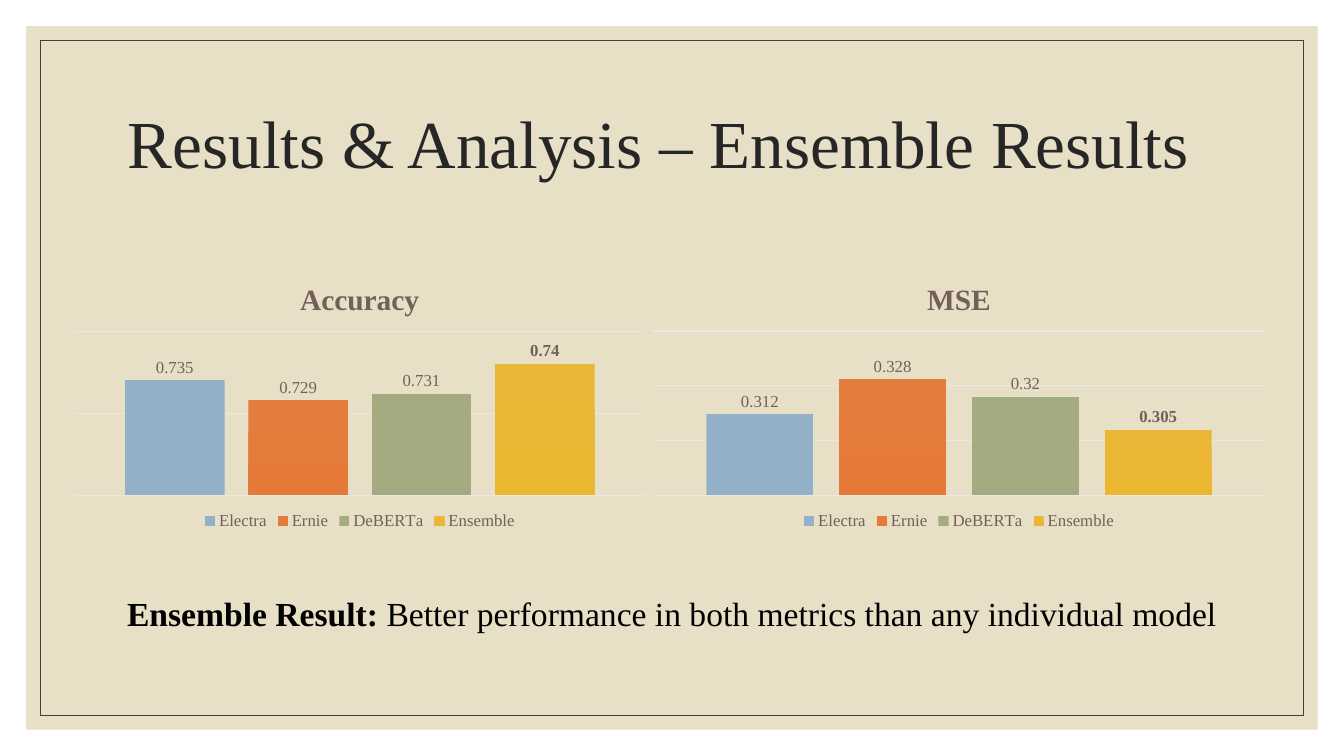
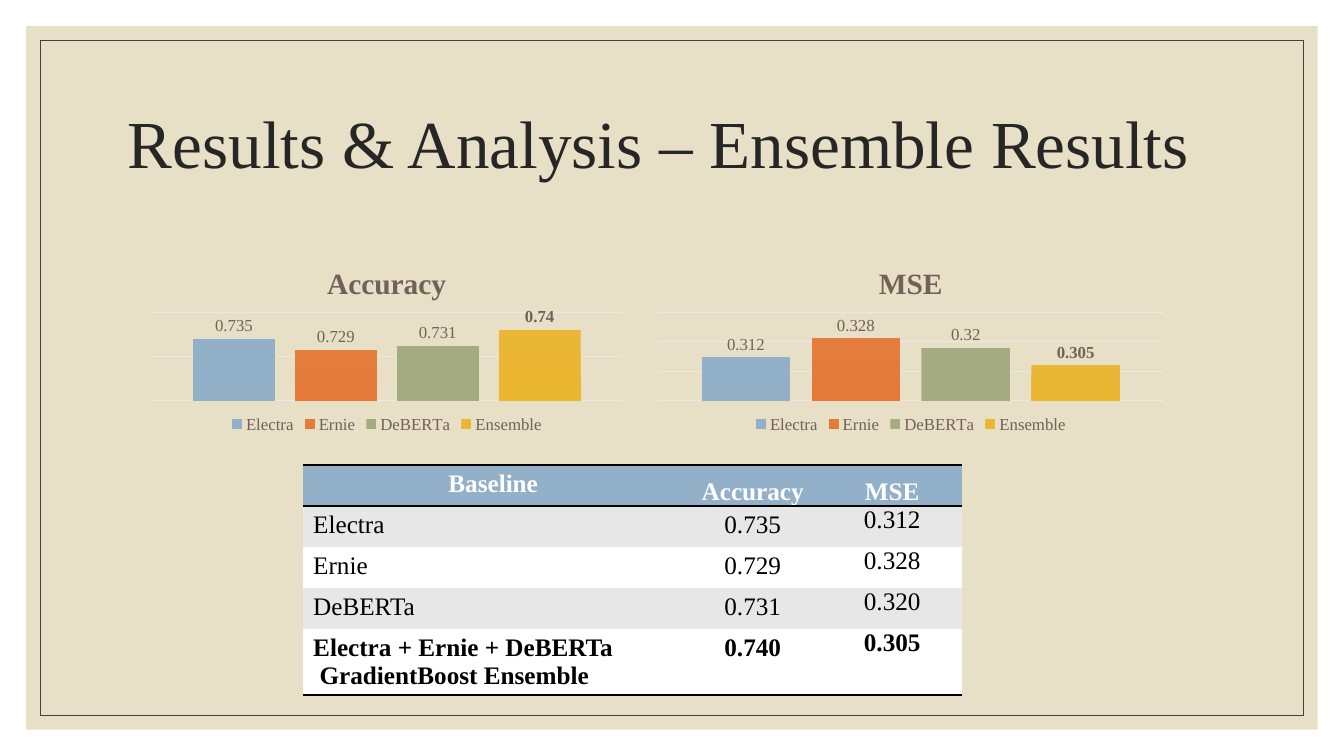
from dataclasses import dataclass

from lxml.etree import SubElement
from pptx import Presentation
from pptx.chart.data import CategoryChartData
from pptx.dml.color import RGBColor
from pptx.enum.chart import XL_CHART_TYPE as ChartType
from pptx.enum.chart import XL_LABEL_POSITION as LabelPosition
from pptx.enum.chart import XL_LEGEND_POSITION as LegendPosition
from pptx.enum.shapes import MSO_SHAPE as Preset
from pptx.enum.text import MSO_ANCHOR as Anchor
from pptx.enum.text import PP_ALIGN as Align
from pptx.oxml.ns import qn
from pptx.util import Cm, Pt

FONT = "Times New Roman"
SAND = RGBColor(0xE7, 0xE0, 0xC7)
FRAME_GRAY = RGBColor(0x40, 0x40, 0x40)
TITLE_GRAY = RGBColor(0x26, 0x26, 0x26)
LABEL_BROWN = RGBColor(0x73, 0x60, 0x59)
GRID_GRAY = RGBColor(0xEB, 0xE7, 0xE5)
BAND_GRAY = RGBColor(0xE7, 0xE7, 0xE7)
BLUE = RGBColor(0x92, 0xB0, 0xC8)
WHITE = RGBColor(0xFF, 0xFF, 0xFF)
BLACK = RGBColor(0, 0, 0)

SERIES_GRADIENTS = {
    "Electra": (BLUE, RGBColor(0x8F, 0xAF, 0xC8)),
    "Ernie": (RGBColor(0xE3, 0x7C, 0x3D), RGBColor(0xE5, 0x7A, 0x38)),
    "DeBERTa": (RGBColor(0xA5, 0xAB, 0x81), RGBColor(0xA4, 0xAB, 0x7F)),
    "Ensemble": (RGBColor(0xE9, 0xB6, 0x35), RGBColor(0xEB, 0xB6, 0x30)),
}
TITLE = "Results & Analysis – Ensemble Results"
NO_STYLE = "{2D5ABB26-0587-4C30-8999-92F81FD0307C}"


@dataclass
class Metric:
    name: str
    values: tuple
    minimum: float
    maximum: float
    title_width: float


ACCURACY = Metric("Accuracy", (0.735, 0.729, 0.731, 0.74), 0.7, 0.75, 3.28)
MSE = Metric("MSE", (0.312, 0.328, 0.32, 0.305), 0.275, 0.35, 1.88)


def format_font(font, size, color, bold=False):
    font.name = FONT
    font.size = Pt(size)
    font.bold = bold
    font.color.rgb = color


def write_text(paragraph, text, size=18, color=BLACK, bold=False, align=None):
    run = paragraph.add_run()
    run.text = text
    format_font(run.font, size, color, bold)
    if align is not None:
        paragraph.alignment = align


def add_frame(slide):
    for index, margin in enumerate((0.66, 1.03)):
        panel = slide.shapes.add_shape(
            Preset.RECTANGLE, Cm(margin), Cm(margin),
            Cm(33.87 - 2 * margin), Cm(19.05 - 2 * margin))
        panel.shadow.inherit = False
        if index == 0:
            panel.fill.solid()
            panel.fill.fore_color.rgb = SAND
            panel.line.fill.background()
        else:
            panel.fill.background()
            panel.line.color.rgb = FRAME_GRAY
            panel.line.width = Pt(0.5)
        slide.shapes.element.insert(2 + index, panel.element)


def add_titled_slide(presentation):
    slide = presentation.slides.add_slide(presentation.slide_layouts[5])
    add_frame(slide)
    title = slide.shapes.title
    title.left, title.top = Cm(2.97), Cm(1.79)
    title.width, title.height = Cm(27.94), Cm(3.81)
    frame = title.text_frame
    frame.vertical_anchor = Anchor.MIDDLE
    paragraph = frame.paragraphs[0]
    paragraph.line_spacing = 0.9
    write_text(paragraph, TITLE, size=48, color=TITLE_GRAY, align=Align.LEFT)
    return slide


def set_layout(element, position, inner=False, **fractions):
    layout = element.find(qn("c:layout"))
    if layout is None:
        layout = element.makeelement(qn("c:layout"))
        element.insert(position, layout)
    for child in list(layout):
        layout.remove(child)
    manual = SubElement(layout, qn("c:manualLayout"))
    if inner:
        SubElement(manual, qn("c:layoutTarget")).set("val", "inner")
    for key in ("x", "y"):
        SubElement(manual, qn(f"c:{key}Mode")).set("val", "edge")
    for key, value in fractions.items():
        SubElement(manual, qn(f"c:{key}")).set("val", f"{value:.4f}")


def add_metric_chart(slide, metric, left, top, width, height):
    data = CategoryChartData()
    data.categories = ["1"]
    for name, value in zip(SERIES_GRADIENTS, metric.values):
        data.add_series(name, [value])
    chart = slide.shapes.add_chart(
        ChartType.COLUMN_CLUSTERED, Cm(left), Cm(top), Cm(width), Cm(height),
        data).chart
    format_font(chart.font, 10, BLACK)

    chart.has_title = True
    write_text(chart.chart_title.text_frame.paragraphs[0], metric.name,
               size=21, color=LABEL_BROWN, bold=True)
    set_layout(chart.chart_title.element, 1,
               x=0.5 - metric.title_width / 2 / width, y=0.26 / height)
    set_layout(chart.element.chart.plotArea, 0, inner=True, x=0.02,
               y=0.03 + 1.46 / height, w=0.96, h=0.94 - 2.23 / height)

    chart.has_legend = True
    chart.legend.position = LegendPosition.BOTTOM
    chart.legend.include_in_layout = False
    format_font(chart.legend.font, 12, LABEL_BROWN)

    chart.category_axis.visible = False
    axis = chart.value_axis
    axis.visible = False
    axis.minimum_scale, axis.maximum_scale = metric.minimum, metric.maximum
    axis.major_unit = 0.025
    axis.has_major_gridlines = True
    axis.major_gridlines.format.line.color.rgb = GRID_GRAY
    axis.major_gridlines.format.line.width = Pt(0.75)

    plot = chart.plots[0]
    plot.gap_width = 100
    plot.overlap = -24
    plot.vary_by_categories = False
    for series in plot.series:
        fill = series.format.fill
        fill.gradient()
        fill.gradient_angle = 270
        for stop, color in zip(fill.gradient_stops,
                               SERIES_GRADIENTS[series.name]):
            stop.color.rgb = color
        labels = series.data_labels
        labels.show_value = True
        labels.position = LabelPosition.OUTSIDE_END
        format_font(labels.font, 12, LABEL_BROWN, series.name == "Ensemble")


def add_border(cell, tag):
    line = SubElement(cell._tc.get_or_add_tcPr(), qn(tag), w=str(Pt(2)))
    fill = SubElement(line, qn("a:solidFill"))
    SubElement(fill, qn("a:srgbClr"), val=str(BLACK))


def set_insets(cell, side, bottom=0):
    cell.margin_left = cell.margin_right = cell.margin_top = Cm(side)
    cell.margin_bottom = Cm(bottom)


def format_cell(cell, text, row, column, last_row):
    header, last = row == 0, row == last_row
    if header:
        add_border(cell, "a:lnT")
    if header or last:
        add_border(cell, "a:lnB")
    cell.fill.solid()
    cell.fill.fore_color.rgb = (
        BLUE if header else BAND_GRAY if row % 2 else WHITE)
    if header and column:
        cell.vertical_anchor = Anchor.BOTTOM
        set_insets(cell, 0.03)
    elif column == 2:
        set_insets(cell, 0)
    frame = cell.text_frame
    for index, line in enumerate(text.split("\n")):
        paragraph = frame.add_paragraph() if index else frame.paragraphs[0]
        if index:
            paragraph._p.get_or_add_pPr().set("marL", str(Cm(0.16)))
        write_text(paragraph, line, color=WHITE if header else BLACK,
                   bold=header or last,
                   align=Align.CENTER if header or column else Align.LEFT)


def add_score_table(slide, left, top, column_widths, row_heights):
    names = list(SERIES_GRADIENTS)[:3]
    names.append("Electra + Ernie + DeBERTa\nGradientBoost Ensemble")
    rows = [("Baseline", ACCURACY.name, MSE.name)]
    for name, accuracy, error in zip(names, ACCURACY.values, MSE.values):
        rows.append((name, f"{accuracy:.3f}", f"{error:.3f}"))
    table = slide.shapes.add_table(
        len(rows), len(column_widths), Cm(left), Cm(top),
        Cm(sum(column_widths)), Cm(sum(row_heights))).table
    table.horz_banding = False
    table._tbl.tblPr.find(qn("a:tableStyleId")).text = NO_STYLE
    for column, width in zip(table.columns, column_widths):
        column.width = Cm(width)
    for row, height in zip(table.rows, row_heights):
        row.height = Cm(height)
    for row, texts in enumerate(rows):
        for column, text in enumerate(texts):
            format_cell(table.cell(row, column), text, row, column,
                        len(rows) - 1)


def add_conclusion(slide, left, top, width, height):
    box = slide.shapes.add_textbox(Cm(left), Cm(top), Cm(width), Cm(height))
    box.text_frame.word_wrap = True
    paragraph = box.text_frame.paragraphs[0]
    write_text(paragraph, "Ensemble Result: ", size=24, bold=True)
    write_text(paragraph,
               "Better performance in both metrics than any individual model",
               size=24, align=Align.CENTER)


def main():
    presentation = Presentation()
    presentation.slide_width, presentation.slide_height = Cm(33.87), Cm(19.05)

    chart_slide = add_titled_slide(presentation)
    add_metric_chart(chart_slide, ACCURACY, 1.6, 6.68, 14.94, 6.78)
    add_metric_chart(chart_slide, MSE, 16.13, 6.68, 16.08, 6.78)
    add_conclusion(chart_slide, 0.82, 14.81, 32.23, 1.27)

    table_slide = add_titled_slide(presentation)
    add_score_table(table_slide, 7.64, 11.72, (9.58, 3.5, 3.53),
                    (1.03,) * 4 + (1.67,))
    add_metric_chart(table_slide, ACCURACY, 3.58, 6.27, 12.34, 4.75)
    add_metric_chart(table_slide, MSE, 16.3, 6.27, 13.31, 4.75)

    presentation.save("out.pptx")


if __name__ == "__main__":
    main()
